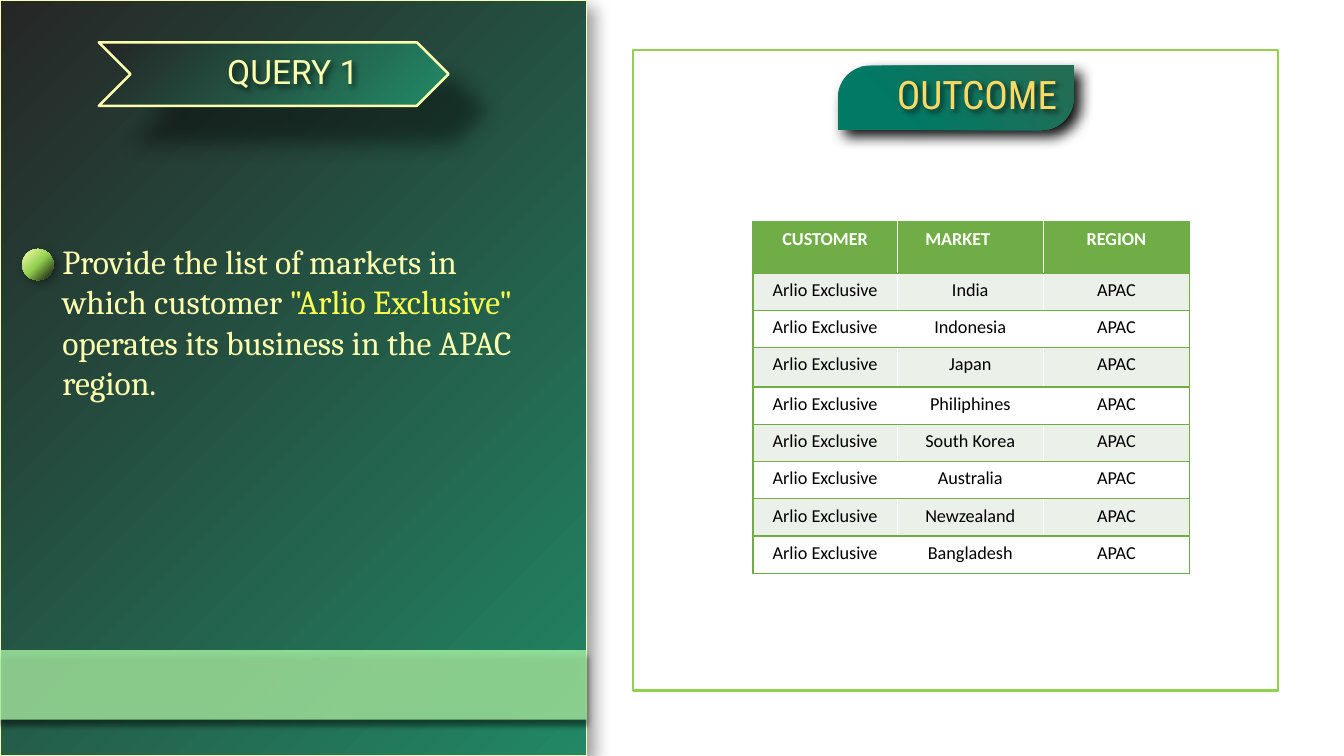
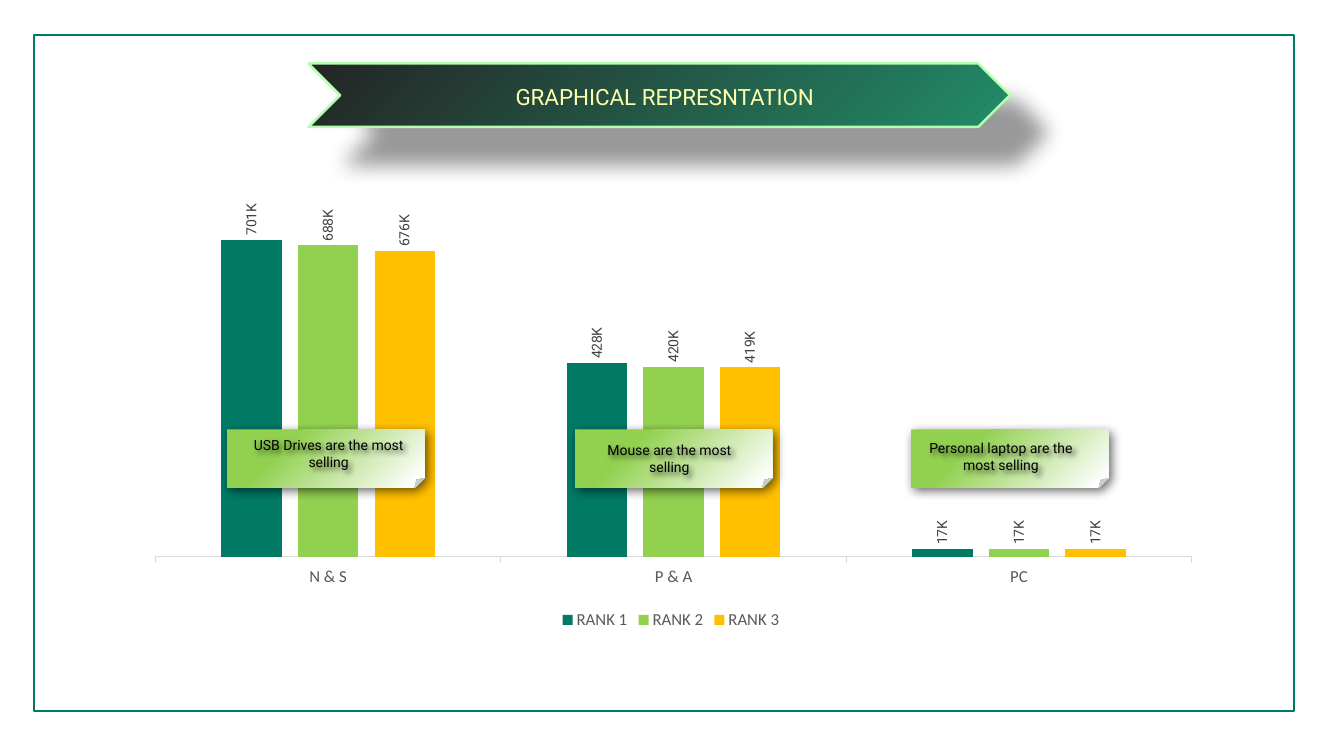
from dataclasses import dataclass

from lxml.etree import SubElement
from pptx import Presentation
from pptx.chart.data import CategoryChartData
from pptx.dml.color import RGBColor
from pptx.enum.chart import XL_CHART_TYPE, XL_LABEL_POSITION, XL_LEGEND_POSITION, XL_TICK_LABEL_POSITION, XL_TICK_MARK
from pptx.enum.shapes import MSO_SHAPE
from pptx.enum.text import MSO_ANCHOR, MSO_AUTO_SIZE, PP_ALIGN
from pptx.oxml.ns import qn
from pptx.util import Inches, Pt

SLIDE_WIDTH, SLIDE_HEIGHT = Inches(13.333), Inches(7.5)
CREAM, MINT, LIME, TEAL = "FDFFAE", "B3FFAE", "92D050", "007965"
BLACK, WHITE, TABLE_GREEN, STRIPE = "000000", "FFFFFF", "70AD47", "EBF1E9"
CUSTOMER = "Arlio Exclusive"


@dataclass(frozen=True)
class Area:
    """A rectangle in percent of the slide's width and height."""

    left: float
    top: float
    width: float
    height: float

    def box(self) -> tuple[int, int, int, int]:
        """Return the rectangle in slide units."""
        return (across(self.left), down(self.top), across(self.width), down(self.height))


@dataclass(frozen=True)
class Gradient:
    """Colour stops in percent and a direction in degrees."""

    stops: tuple[tuple[int, str], ...]
    angle: int = 45


@dataclass(frozen=True)
class Shadow:
    """An outer shadow: opacity in percent, lengths in points."""

    opacity: int
    blur: int
    distance: int
    angle: int = 45


@dataclass(frozen=True)
class Style:
    """The look of a run of text."""

    font: str
    size: int
    color: str
    bold: bool = False


@dataclass(frozen=True)
class Note:
    """A folded note over the chart and the place of its text."""

    left: float
    text_left: float
    text_top: float
    text: str


BANNER_FILL = Gradient(((0, "242424"), (96, "228765"), (100, "D6FFBE")))
PANEL_FILL = Gradient(((0, "262626"), (100, "228765")))
TAG_FILL = Gradient(((25, TEAL), (91, "236D54")), 315)
BALL_FILL = Gradient(((0, CREAM), (50, LIME), (100, "0D0D0D")))
NOTE_FILL = Gradient(((29, LIME), (95, WHITE)))
BANNER_SHADOW = Shadow(40, 15, 37)
NOTE_SHADOW = Shadow(60, 8, 3)
TEXT_SHADOW = Shadow(60, 4, 3)

MARKETS = ("India", "Indonesia", "Japan", "Philiphines", "South Korea", "Australia", "Newzealand", "Bangladesh")
COLUMN_SHARES = (10.72, 10.88, 10.88)
ROW_SHARES = (6.8, 4.93, 4.93, 5.2, 4.93, 4.93, 4.93, 4.93, 4.93)
SERIES = (
    ("RANK 1", (701000, 428000, 17000), TEAL),
    ("RANK 2", (688000, 420000, 17000), LIME),
    ("RANK 3", (676000, 419000, 17000), "FFC000"),
)
NOTES = (
    Note(16.88, 17.48, 57.07, "USB Drives are the most selling"),
    Note(42.75, 42.83, 57.73, "Mouse are the most selling"),
    Note(67.8, 67.5, 57.47, "Personal laptop are the most selling"),
)


def across(percent: float) -> int:
    """Turn a share of the slide's width into a length."""
    return int(SLIDE_WIDTH * percent / 100)


def down(percent: float) -> int:
    """Turn a share of the slide's height into a length."""
    return int(SLIDE_HEIGHT * percent / 100)


def paint(fill, color: str) -> None:
    """Fill with one plain colour."""
    fill.solid()
    fill.fore_color.rgb = RGBColor.from_string(color)


def add_color(parent, color: str, opacity: int = 100) -> None:
    """Append a colour element with its opacity."""
    element = SubElement(parent, qn("a:srgbClr"), val=color)
    if opacity < 100:
        SubElement(element, qn("a:alpha"), val=str(opacity * 1000))


def apply_gradient(shape, gradient: Gradient) -> None:
    """Fill a shape with a linear gradient."""
    shape.fill.background()
    empty_fill = shape.element.spPr.find(qn("a:noFill"))
    element = SubElement(shape.element.spPr, qn("a:gradFill"), rotWithShape="1")
    stop_list = SubElement(element, qn("a:gsLst"))
    for position, color in gradient.stops:
        add_color(SubElement(stop_list, qn("a:gs"), pos=str(position * 1000)), color)
    SubElement(element, qn("a:lin"), ang=str(gradient.angle * 60000), scaled="0")
    shape.element.spPr.replace(empty_fill, element)


def apply_shadow(shape, shadow: Shadow | None) -> None:
    """Replace the inherited shadow with the given one."""
    shape.shadow.inherit = False
    if shadow:
        effects = shape.element.spPr.find(qn("a:effectLst"))
        outer = SubElement(
            effects, qn("a:outerShdw"), blurRad=str(Pt(shadow.blur)), dist=str(Pt(shadow.distance)),
            dir=str(shadow.angle * 60000), algn="tl", rotWithShape="0",
        )
        add_color(outer, BLACK, shadow.opacity)


def draw_shape(slide, kind, area: Area, fill: Gradient | None = None, line: str | None = None,
               weight: float = 1, shadow: Shadow | None = None):
    """Add a preset shape with its fill, line and shadow."""
    shape = slide.shapes.add_shape(kind, *area.box())
    if fill:
        apply_gradient(shape, fill)
    else:
        shape.fill.background()
    if line:
        paint(shape.line.fill, line)
        shape.line.width = Pt(weight)
    else:
        shape.line.fill.background()
    apply_shadow(shape, shadow)
    return shape


def format_font(font, style: Style) -> None:
    """Apply a text style to a font."""
    font.name, font.size, font.bold = style.font, Pt(style.size), style.bold
    font.color.rgb = RGBColor.from_string(style.color)


def write_text(shape, text: str, style: Style, alignment=PP_ALIGN.LEFT):
    """Set the wrapped, top-anchored text of a shape."""
    frame = shape.text_frame
    frame.text = text
    frame.word_wrap, frame.auto_size = True, MSO_AUTO_SIZE.NONE
    frame.vertical_anchor = MSO_ANCHOR.TOP
    paragraph = frame.paragraphs[0]
    paragraph.alignment = alignment
    format_font(paragraph.runs[0].font, style)
    return paragraph


def draw_text(slide, area: Area, text: str, style: Style, alignment=PP_ALIGN.LEFT, shadow: Shadow | None = None):
    """Add a text box and return its paragraph."""
    box = slide.shapes.add_textbox(*area.box())
    apply_shadow(box, shadow)
    return write_text(box, text, style, alignment)


def draw_banner(slide, banner: Area, title_area: Area, text: str, size: int, line: str,
                shadow: Shadow | None = None) -> None:
    """Draw the chevron and put the slide title on it."""
    draw_shape(slide, MSO_SHAPE.CHEVRON, banner, BANNER_FILL, line, 1.75, BANNER_SHADOW)
    title = slide.shapes.title
    title.left, title.top, title.width, title.height = title_area.box()
    apply_shadow(title, shadow)
    paragraph = write_text(title, text, Style("Roboto", size, CREAM), PP_ALIGN.CENTER)
    paragraph.line_spacing = 0.9
    title.element.getparent().append(title.element)


def draw_borders(cell, sides: str) -> None:
    """Draw the listed sides of a cell, given in the order L, R, T, B."""
    properties = cell._tc.get_or_add_tcPr()
    for index, side in enumerate(sides):
        border = SubElement(properties, qn(f"a:ln{side}"), w=str(Pt(1)))
        add_color(SubElement(border, qn("a:solidFill")), TABLE_GREEN)
        properties.insert(index, border)


def draw_table(slide) -> None:
    """Draw the table of markets."""
    rows = [("CUSTOMER", "MARKET", "REGION")] + [(CUSTOMER, market, "APAC") for market in MARKETS]
    area = Area(56.03, 29.33, sum(COLUMN_SHARES), sum(ROW_SHARES))
    table = slide.shapes.add_table(len(rows), len(COLUMN_SHARES), *area.box()).table
    for column, share in zip(table.columns, COLUMN_SHARES):
        column.width = across(share)
    for row_index, (values, share) in enumerate(zip(rows, ROW_SHARES)):
        table.rows[row_index].height = down(share)
        header = row_index == 0
        style = Style("Calibri", 13, WHITE if header else BLACK, header)
        background = TABLE_GREEN if header else STRIPE if row_index % 2 else WHITE
        for column_index, value in enumerate(values):
            cell = table.cell(row_index, column_index)
            cell.text = value
            cell.margin_left = cell.margin_right = across(0.82)
            cell.margin_top = cell.margin_bottom = down(0.8)
            paragraph = cell.text_frame.paragraphs[0]
            paragraph.alignment = PP_ALIGN.CENTER
            if value == "MARKET":
                paragraph.alignment = PP_ALIGN.LEFT
                cell.margin_left = across(2.1)
            format_font(paragraph.runs[0].font, style)
            paint(cell.fill, background)
            draw_borders(cell, ("LTB", "TB", "RTB")[column_index])


def set_plot_layout(chart, left: float, top: float, width: float, height: float) -> None:
    """Fix the inner plot area as shares of the chart."""
    plot_area = chart._chartSpace.chart.plotArea
    for old_layout in plot_area.findall(qn("c:layout")):
        plot_area.remove(old_layout)
    layout = SubElement(plot_area, qn("c:layout"))
    plot_area.insert(0, layout)
    manual = SubElement(layout, qn("c:manualLayout"))
    settings = {"layoutTarget": "inner", "xMode": "edge", "yMode": "edge",
                "x": left, "y": top, "w": width, "h": height}
    for name, value in settings.items():
        SubElement(manual, qn(f"c:{name}"), val=str(value))


def draw_chart(slide) -> None:
    """Draw the clustered columns of the three ranks."""
    data = CategoryChartData()
    data.categories = ("N & S", "P & A", "PC")
    for name, values, _ in SERIES:
        data.add_series(name, values)
    area = Area(10.13, 23.73, 79.58, 60.13)
    chart = slide.shapes.add_chart(XL_CHART_TYPE.COLUMN_CLUSTERED, *area.box(), data).chart
    format_font(chart.font, Style("Calibri", 10, BLACK))
    chart.has_title = False
    axis_style = Style("Calibri", 12, "595959")
    chart.has_legend = True
    chart.legend.position = XL_LEGEND_POSITION.BOTTOM
    chart.legend.include_in_layout = False
    format_font(chart.legend.font, axis_style)
    category_axis, value_axis = chart.category_axis, chart.value_axis
    category_axis.major_tick_mark = XL_TICK_MARK.OUTSIDE
    category_axis.tick_label_position = XL_TICK_LABEL_POSITION.LOW
    format_font(category_axis.tick_labels.font, axis_style)
    paint(category_axis.format.line.fill, "D9D9D9")
    category_axis.format.line.width = Pt(0.75)
    value_axis.visible = value_axis.has_major_gridlines = False
    value_axis.minimum_scale, value_axis.maximum_scale = 0, 800000
    plot = chart.plots[0]
    plot.gap_width, plot.overlap, plot.vary_by_categories = 219, -27, False
    for series, (_, _, color) in zip(plot.series, SERIES):
        paint(series.format.fill, color)
        labels = series.data_labels
        labels.show_value = True
        labels.number_format, labels.number_format_is_linked = '#,##0,"K"', False
        labels.position = XL_LABEL_POSITION.OUTSIDE_END
        format_font(labels.font, Style("Roboto", 10, "404040"))
        body = labels._element.find(qn("c:txPr")).find(qn("a:bodyPr"))
        body.set("rot", "-5400000")
        body.set("vert", "horz")
    set_plot_layout(chart, 0.018, 0.034, 0.969, 0.796)


def build_query_slide(slide) -> None:
    """Draw the query on the left and its outcome on the right."""
    draw_shape(slide, MSO_SHAPE.RECTANGLE, Area(47.1, 6.67, 48, 84.67), line=LIME, weight=1.5)
    draw_shape(slide, MSO_SHAPE.RECTANGLE, Area(0, 0, 43.65, 100), PANEL_FILL, CREAM, 1, Shadow(40, 12, 8))
    draw_banner(slide, Area(7.35, 5.6, 26.03, 8.4), Area(6, 6.67, 31.58, 10.27), "QUERY 1", 24, CREAM, TEXT_SHADOW)
    band = draw_shape(slide, MSO_SHAPE.RECTANGLE, Area(0, 86, 43.65, 9.2), shadow=Shadow(66, 4, 4, 90))
    paint(band.fill, MINT)
    color = band.element.spPr.find(qn("a:solidFill"))[0]
    SubElement(color, qn("a:alpha"), val="74000")
    question = draw_text(slide, Area(3.9, 31.2, 37.43, 22.93), "Provide the list of markets in which customer ",
                         Style("Cambria", 24, CREAM))
    for text, run_color in ((f'"{CUSTOMER}"', "FBFF4F"), (" operates its business in the APAC region.", CREAM)):
        run = question.add_run()
        run.text = text
        format_font(run.font, Style("Cambria", 24, run_color))
    draw_table(slide)
    tag = draw_shape(slide, MSO_SHAPE.ROUND_2_DIAG_RECTANGLE, Area(62.33, 8.67, 17.55, 8.53), TAG_FILL,
                     shadow=Shadow(95, 10, 7))
    tag.adjustments[0], tag.adjustments[1] = 0.5, 0
    draw_text(slide, Area(66, 8.67, 18, 13.87), "OUTCOME", Style("Roboto Condensed", 28, "FFD966"), shadow=TEXT_SHADOW)
    draw_shape(slide, MSO_SHAPE.FLOWCHART_CONNECTOR, Area(1.65, 32.93, 2.33, 4.13), BALL_FILL, shadow=Shadow(40, 7, 3))


def build_chart_slide(slide) -> None:
    """Draw the framed chart with its notes."""
    draw_shape(slide, MSO_SHAPE.RECTANGLE, Area(2.55, 4.67, 93.75, 89.33), line=TEAL, weight=1.5)
    draw_banner(slide, Area(22.95, 8.4, 52.2, 8.4), Area(33.68, 10.8, 31.58, 10.27), "GRAPHICAL REPRESNTATION", 16, MINT)
    draw_chart(slide)
    for note in NOTES:
        draw_shape(slide, MSO_SHAPE.FOLDED_CORNER, Area(note.left, 56.8, 14.7, 7.73), NOTE_FILL, shadow=NOTE_SHADOW)
        draw_text(slide, Area(note.text_left, note.text_top, 13.95, 5.87), note.text,
                  Style("Roboto", 10, BLACK), PP_ALIGN.CENTER, TEXT_SHADOW)


def main() -> None:
    """Build and save the presentation."""
    presentation = Presentation()
    presentation.slide_width, presentation.slide_height = SLIDE_WIDTH, SLIDE_HEIGHT
    for build in (build_query_slide, build_chart_slide):
        build(presentation.slides.add_slide(presentation.slide_layouts[5]))
    presentation.save("out.pptx")


if __name__ == "__main__":
    main()
